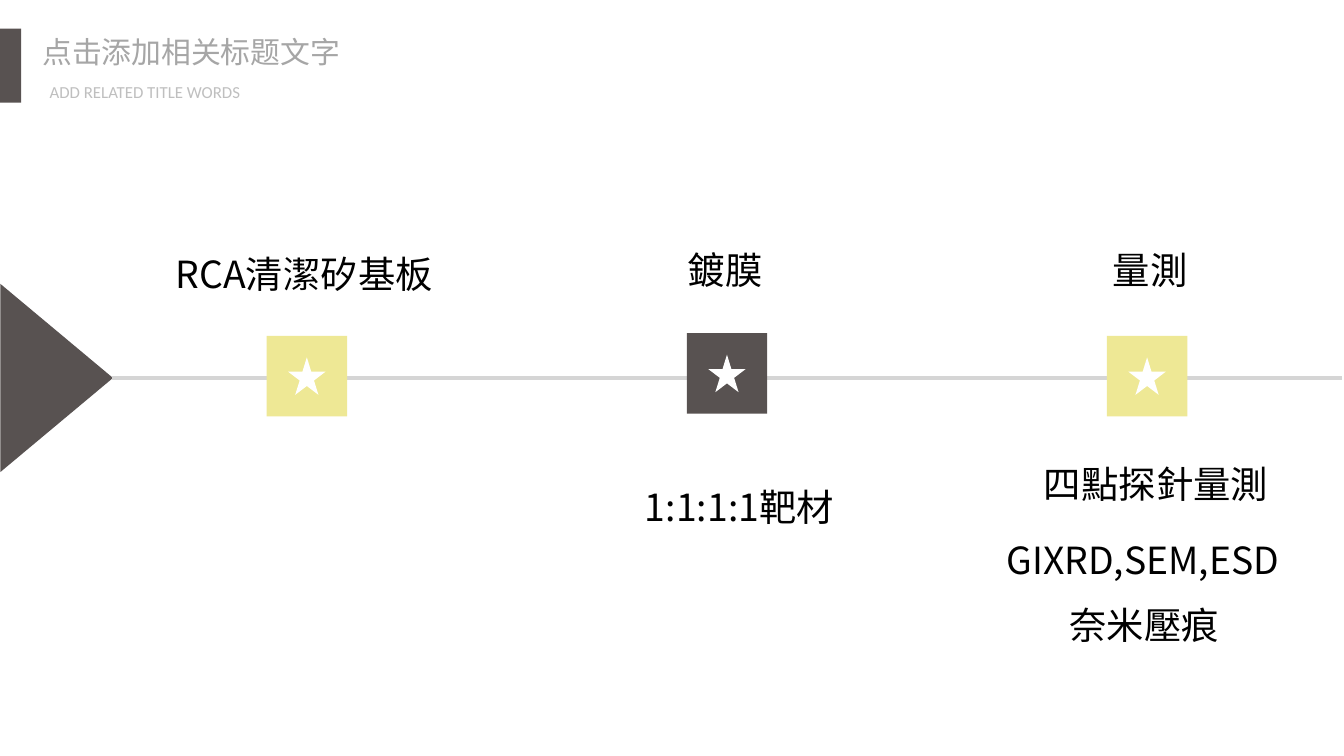
from lxml import etree
from pptx import Presentation
from pptx.dml.color import RGBColor
from pptx.enum.shapes import MSO_CONNECTOR, MSO_SHAPE
from pptx.enum.text import MSO_AUTO_SIZE, PP_ALIGN
from pptx.oxml.ns import qn
from pptx.util import Cm, Pt

RECT, STAR, TRIANGLE = MSO_SHAPE.RECTANGLE, MSO_SHAPE.STAR_5_POINT, MSO_SHAPE.ISOSCELES_TRIANGLE
STRAIGHT = MSO_CONNECTOR.STRAIGHT
FIT = MSO_AUTO_SIZE.SHAPE_TO_FIT_TEXT
LEFT, JUSTIFY = PP_ALIGN.LEFT, PP_ALIGN.JUSTIFY

DARK, YELLOW, WHITE, BLACK = "585251", "EEE895", "FFFFFF", "000000"
CJK, LATIN = "Noto Sans CJK SC", "Calibri"


def color(value):
    return RGBColor.from_string(value)


class SlideBuilder:
    """Holds the text style and the slide being built."""

    font, size, ink = CJK, 20, BLACK

    def __init__(self, slide):
        self.s = slide

    def shape(self, kind, x, y, w, h, fill, rotation=0, parent=None):
        shapes = (parent or self.s).shapes
        sp = shapes.add_shape(kind, Cm(x), Cm(y), Cm(w), Cm(h))
        sp.shadow.inherit = False
        sp.fill.solid()
        sp.fill.fore_color.rgb = color(fill)
        sp.line.fill.background()
        sp.rotation = rotation
        return sp

    def line(self, x1, y1, x2, y2, stroke, width):
        cn = self.s.shapes.add_connector(STRAIGHT, Cm(x1), Cm(y1), Cm(x2), Cm(y2))
        cn.line.color.rgb = color(stroke)
        cn.line.width = Pt(width)
        etree.SubElement(cn._element.spPr, qn("a:effectLst"))

    def marker(self, x, y, fill, size=1.52, star=0.71):
        group = self.s.shapes.add_group_shape()
        gap = (size - star) / 2
        self.shape(RECT, x, y, size, size, fill, parent=group)
        self.shape(STAR, x + gap, y + gap, star, star, WHITE, parent=group)

    def text(self, text, x, y, w, h=1.12, font=None, size=None, ink=None,
             align=LEFT, wrap=True, inset=(0.25, 0.13)):
        tf = self.s.shapes.add_textbox(Cm(x), Cm(y), Cm(w), Cm(h)).text_frame
        tf.word_wrap = wrap
        tf.auto_size = FIT
        tf.margin_left = tf.margin_right = Cm(inset[0])
        tf.margin_top = tf.margin_bottom = Cm(inset[1])
        p = tf.paragraphs[0]
        p.text = text
        p.alignment = align
        p.font.name = font or self.font
        p.font.size = Pt(size or self.size)
        p.font.color.rgb = color(ink or self.ink)
        # East Asian glyphs take their typeface from a separate element
        ea = etree.SubElement(p.font._element, qn("a:ea"))
        ea.set("typeface", font or self.font)


def main():
    prs = Presentation()
    prs.slide_width, prs.slide_height = Cm(25.4), Cm(14.29)
    b = SlideBuilder(prs.slides.add_slide(prs.slide_layouts[6]))

    # Header
    b.shape(RECT, 0, 0.54, 0.4, 1.4, DARK)
    b.text("点击添加相关标题文字", 0.6, 0.53, 6.1, 0.89, size=16, ink="A6A6A6",
           wrap=False, inset=(0.2, 0.1))
    b.text("ADD RELATED TITLE WORDS", 0.74, 1.45, 5.66, 0.58, font=LATIN, size=9,
           ink="BFBFBF", align=JUSTIFY, inset=(0.2, 0.1))

    # Timeline
    b.shape(TRIANGLE, -0.71, 6.08, 3.56, 2.13, DARK, rotation=90)
    b.line(2.11, 7.14, 25.37, 7.14, "D5D5D5", 2)
    for i, (y, fill) in enumerate([(6.35, YELLOW), (6.3, DARK), (6.35, YELLOW)]):
        b.marker(5.04 + i * 7.94, y, fill)

    # Step names above the line, details below
    for text, x, y, w in [
        ("RCA清潔矽基板", 3.07, 4.62, 5.9),
        ("鍍膜", 12.75, 4.55, 2.34),
        ("量測", 20.78, 4.55, 2.34),
        ("1:1:1:1靶材", 11.94, 9.02, 4.6),
        ("四點探針量測", 19.48, 8.59, 4.93),
        ("GIXRD,SEM,ESD", 18.77, 10.03, 5.8),
        ("奈米壓痕", 19.96, 11.25, 4.93),
    ]:
        b.text(text, x, y, w)

    prs.save("out.pptx")


if __name__ == "__main__":
    main()
